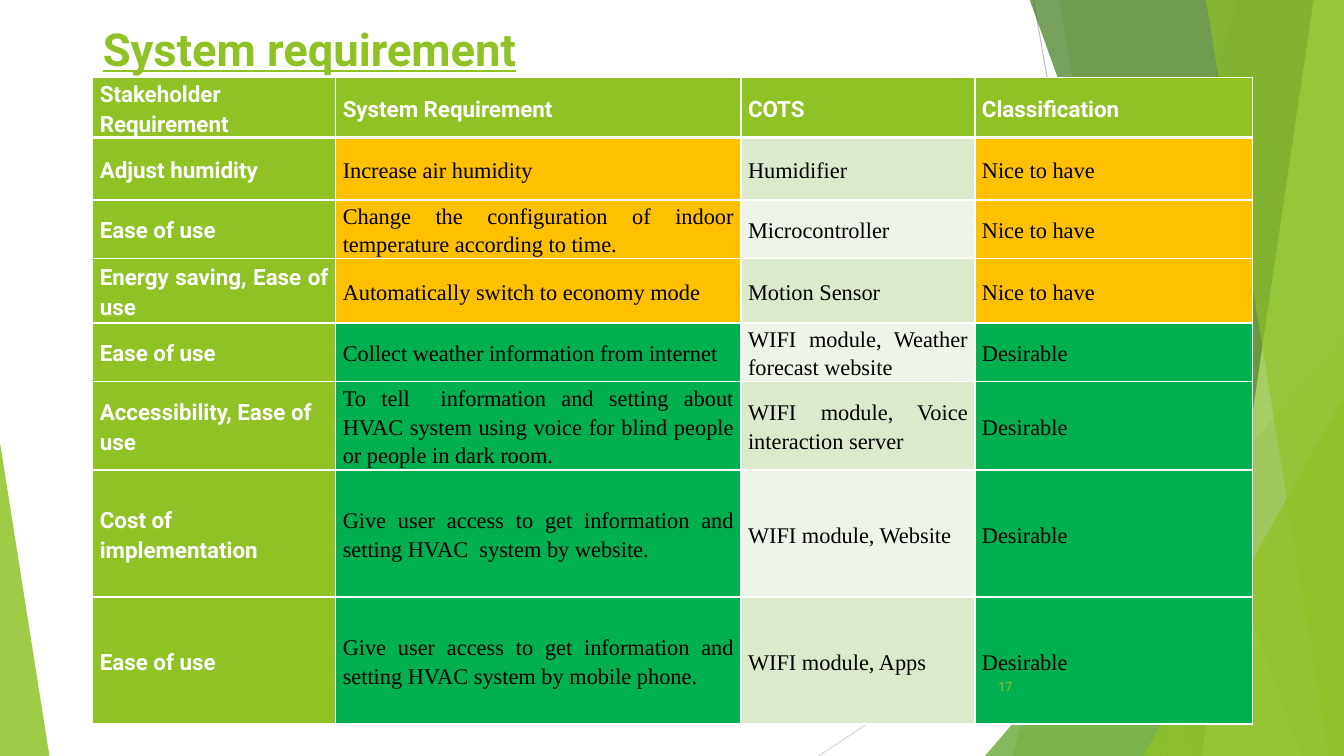
import lxml.etree
import pptx
import pptx.dml.color
import pptx.enum.shapes
import pptx.enum.text
import pptx.oxml.ns
import pptx.util

Inches, Pt = pptx.util.Inches, pptx.util.Pt
qn = pptx.oxml.ns.qn
ALIGN, ANCHOR = pptx.enum.text.PP_ALIGN, pptx.enum.text.MSO_ANCHOR
HEAD_FONT, BODY_FONT = "Roboto", "Times New Roman"

COLORS = {
    "green": "90C226", "mid green": "54A021", "dark green": "3F7819", "lime": "C0E474",
    "white": "FFFFFF", "black": "000000", "grey": "BFBFBF", "light grey": "D9D9D9",
    "band 1": "DBE9CD", "band 2": "EEF4E8",
    "Nice to have": "FFC000", "Desirable": "00B050",
}

# Facets on the right edge: top left x, bottom left x, colour, opacity
FACETS_BACK = [(12.28, 10.04, "green", 30), (10.5, 11.83, "green", 20)]
FACETS_FRONT = [(10.21, 12.91, "dark green", 70), (13.03, 11.92, "lime", 70),
                (11.96, 13.18, "green", 65)]

COLUMNS = [2.41, 4.02, 2.32, 2.75]
ROWS = [0.58, 0.62, 0.58, 0.64, 0.58, 0.88, 1.26, 1.26]
LEFT_CELLS = {(0, 0), (0, 1), (1, 0), (2, 0), (5, 0), (6, 0)}
REQUIREMENTS = [
    ("Stakeholder Requirement", "System Requirement", "COTS", "Classification"),
    ("Adjust humidity", "Increase air humidity", "Humidifier", "Nice to have"),
    ("Ease of use", "Change the configuration of indoor temperature according to time.",
     "Microcontroller", "Nice to have"),
    ("Energy saving, Ease of use", "Automatically switch to economy mode",
     "Motion Sensor", "Nice to have"),
    ("Ease of use", "Collect weather information from internet",
     "WIFI module, Weather forecast website", "Desirable"),
    ("Accessibility, Ease of use",
     "To tell  information and setting about HVAC system using voice for blind people "
     "or people in dark room.",
     "WIFI module, Voice interaction server", "Desirable"),
    ("Cost of implementation",
     "Give user access to get information and setting HVAC  system by website.",
     "WIFI module, Website", "Desirable"),
    ("Ease of use",
     "Give user access to get information and setting HVAC system by mobile phone.",
     "WIFI module, Apps", "Desirable"),
]


def rgb(name):
    return pptx.dml.color.RGBColor.from_string(COLORS[name])


def format_text(p, font, size, color, bold=False, underline=False):
    for r in p.runs:
        r.font.name, r.font.size = font, Pt(size)
        r.font.bold, r.font.underline = bold, underline
        r.font.color.rgb = rgb(color)


def paint(sp, color, opacity):
    sp.shadow.inherit = False
    sp.line.fill.background()
    sp.fill.solid()
    sp.fill.fore_color.rgb = rgb(color)
    clr = sp.element.spPr.find(qn("a:solidFill"))[0]
    lxml.etree.SubElement(clr, qn("a:alpha"), val=str(opacity * 1000))


def add_line(s, x1, y1, x2, y2, color):
    line = s.shapes.add_connector(pptx.enum.shapes.MSO_CONNECTOR.STRAIGHT,
                                  Inches(x1), Inches(y1), Inches(x2), Inches(y2))
    line.line.color.rgb = rgb(color)
    line.line.width = Pt(0.75)
    lxml.etree.SubElement(line.element.spPr, qn("a:effectLst"))


def add_facet(s, top_x, bottom_x, color, opacity):
    top, right, bottom = Inches(-0.01), Inches(13.33), Inches(7.5)
    fb = s.shapes.build_freeform(Inches(top_x), top)
    fb.add_line_segments([(right, top), (right, bottom), (Inches(bottom_x), bottom)])
    paint(fb.convert_to_shape(), color, opacity)


def add_triangle(s, x, y, w, h, apex, color, opacity):
    sp = s.shapes.add_shape(pptx.enum.shapes.MSO_SHAPE.ISOSCELES_TRIANGLE,
                            Inches(x), Inches(y), Inches(w), Inches(h))
    sp.adjustments[0] = apex
    paint(sp, color, opacity)


def add_backdrop(s):
    add_line(s, 10.25, 0, 11.58, 7.5, "grey")
    add_line(s, 13.33, 4.03, 8.12, 7.5, "light grey")
    for facet in FACETS_BACK:
        add_facet(s, *facet)
    add_triangle(s, 9.77, 3.33, 3.56, 4.17, 1, "mid green", 72)
    for facet in FACETS_FRONT:
        add_facet(s, *facet)
    add_triangle(s, 11.34, 3.93, 1.99, 3.57, 1, "green", 80)
    add_triangle(s, 0, 4.39, 0.49, 3.11, 0, "green", 85)


def set_title(s, text):
    title = s.shapes.title
    title.left, title.top = Inches(0.92), Inches(0.16)
    title.width, title.height = Inches(11.5), Inches(0.61)
    tf = title.text_frame
    tf.text = text
    tf.auto_size = pptx.enum.text.MSO_AUTO_SIZE.NONE
    tf.vertical_anchor = ANCHOR.TOP
    tf.paragraphs[0].alignment = ALIGN.LEFT
    format_text(tf.paragraphs[0], HEAD_FONT, 32.4, "green", True, True)
    # Bring the title in front of the backdrop
    title.element.getparent().append(title.element)


def set_borders(cell, top, bottom):
    tcPr = cell._tc.get_or_add_tcPr()
    for i, (side, width) in enumerate([("L", 1), ("R", 1), ("T", top), ("B", bottom)]):
        ln = lxml.etree.Element(qn("a:ln" + side), w=str(Pt(width)))
        fill = lxml.etree.SubElement(ln, qn("a:solidFill"))
        lxml.etree.SubElement(fill, qn("a:srgbClr"), val=COLORS["white"])
        tcPr.insert(i, ln)


def fill_name(row, col):
    if row == 0 or col == 0:
        return "green"
    if col == 2:
        return "band 1" if row % 2 else "band 2"
    return REQUIREMENTS[row][3]


def fill_cell(cell, row, col):
    cell.text_frame.text = REQUIREMENTS[row][col]
    cell.vertical_anchor = ANCHOR.MIDDLE
    cell.margin_left = cell.margin_right = Inches(0.07)
    cell.margin_top = cell.margin_bottom = 0
    p = cell.text_frame.paragraphs[0]
    p.alignment = ALIGN.LEFT if (row, col) in LEFT_CELLS else ALIGN.JUSTIFY
    p.line_spacing = 1.15
    if row == 0 or col == 0:
        format_text(p, HEAD_FONT, 16, "white", True)
    else:
        format_text(p, BODY_FONT, 16, "black")
    cell.fill.solid()
    cell.fill.fore_color.rgb = rgb(fill_name(row, col))
    # A thick rule separates the header from the body
    set_borders(cell, top=3 if row == 1 else 1, bottom=3 if row == 0 else 1)


def add_requirements(s):
    table = s.shapes.add_table(len(ROWS), len(COLUMNS), Inches(0.92), Inches(0.77),
                               Inches(sum(COLUMNS)), Inches(sum(ROWS))).table
    for col, width in enumerate(COLUMNS):
        table.columns[col].width = Inches(width)
    for row, height in enumerate(ROWS):
        table.rows[row].height = Inches(height)
        for col in range(len(COLUMNS)):
            fill_cell(table.cell(row, col), row, col)


def add_page_number(s, number):
    tf = s.shapes.add_textbox(Inches(9.39), Inches(6.61), Inches(0.75), Inches(0.4)).text_frame
    tf.word_wrap = True
    tf.vertical_anchor = ANCHOR.MIDDLE
    tf.text = number
    tf.paragraphs[0].alignment = ALIGN.RIGHT
    format_text(tf.paragraphs[0], HEAD_FONT, 9, "green")


def main():
    prs = pptx.Presentation()
    prs.slide_width, prs.slide_height = Inches(13.33), Inches(7.5)
    s = prs.slides.add_slide(prs.slide_layouts[5])
    add_backdrop(s)
    set_title(s, "System requirement")
    add_requirements(s)
    add_page_number(s, "17")
    prs.save("out.pptx")


if __name__ == "__main__":
    main()
